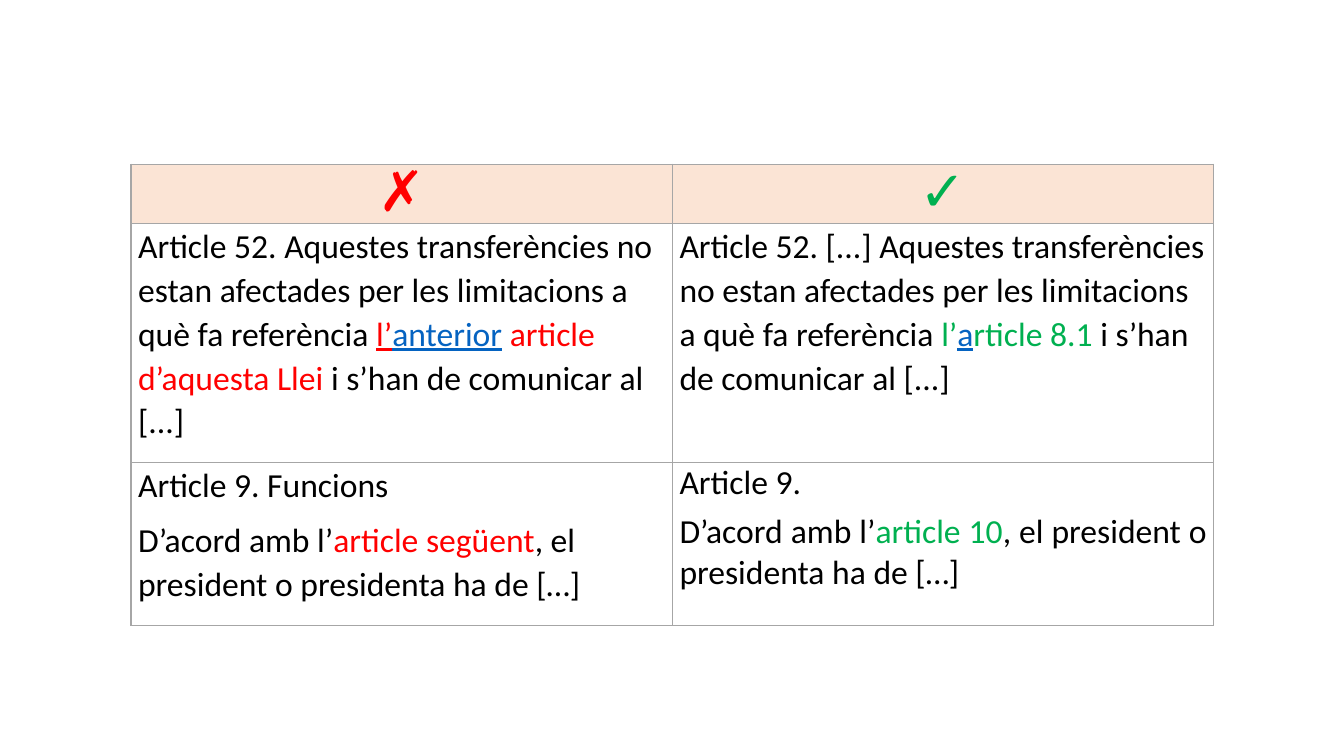
import pptx
import pptx.util
import pptx.dml.color
import pptx.enum.text
import lxml.etree
from pptx.util import Inches

Align = pptx.enum.text.PP_ALIGN
Anchor = pptx.enum.text.MSO_ANCHOR
RED, GREEN, BLUE, BLACK = "FF0000", "00B050", "0563C1", "000000"
GRAY, PEACH, WHITE = "A6A6A6", "FBE4D5", "FFFFFF"


def color(code):
    return pptx.dml.color.RGBColor.from_string(code)


def border(cell):
    props = cell._tc.get_or_add_tcPr()
    space = pptx.oxml.ns.nsdecls("a")
    for place, side in enumerate(("lnL", "lnR", "lnT", "lnB")):
        line = lxml.etree.fromstring(
            f'<a:{side} {space} w="12700"><a:solidFill>'
            f'<a:srgbClr val="{GRAY}"/></a:solidFill></a:{side}>')
        props.insert(place, line)


deck = pptx.Presentation()
deck.slide_width = Inches(13.33)
deck.slide_height = Inches(7.5)
slide = deck.slides.add_slide(deck.slide_layouts[6])

frame = slide.shapes.add_table(3, 2, Inches(1.3), Inches(1.63), Inches(10.74), Inches(4.58))
table = frame.table
for col in table.columns:
    col.width = Inches(5.37)
for row, height in zip(table.rows, (0.59, 2.37, 1.62)):
    row.height = Inches(height)

head = dict(size=40, font="Arial", align=Align.CENTER, lead=pptx.util.Pt(36), before=0, after=0)
body = dict(size=24, font="Calibri", align=Align.LEFT, lead=1.07, before=0, after=8)
tight = dict(body, align=Align.JUSTIFY, lead=1.0, before=3, after=3)

grid = [
    [
        (head, [[("✗", RED)]]),
        (head, [[("✓", GREEN, "bold")]]),
    ],
    [
        (body, [[
            ("Article 52. Aquestes transferències no estan afectades per les "
             "limitacions a què fa referència ", BLACK),
            ("l’", RED, "under"),
            ("anterior", BLUE, "under"),
            (" article d’aquesta Llei", RED),
            (" i s’han de comunicar al [...]", BLACK),
        ]]),
        (body, [[
            ("Article 52. [...] Aquestes transferències no estan afectades per les "
             "limitacions a què fa referència ", BLACK),
            ("l’", GREEN),
            ("a", BLUE, "under"),
            ("rticle 8.1 ", GREEN),
            ("i s’han de comunicar al [...]", BLACK),
        ]]),
    ],
    [
        (body, [
            [("Article 9. Funcions", BLACK)],
            [("D’acord amb l’", BLACK), ("article següent", RED),
             (", el president o presidenta ha de […]", BLACK)],
        ]),
        (tight, [
            [("Article 9.", BLACK)],
            [("D’acord amb l’", BLACK), ("article 10", GREEN),
             (", el president o presidenta ha de […]", BLACK)],
        ]),
    ],
]

for r, row in enumerate(grid):
    for c, (style, paras) in enumerate(row):
        cell = table.cell(r, c)
        cell.margin_left = cell.margin_right = Inches(0.07)
        cell.margin_top = cell.margin_bottom = 0
        cell.vertical_anchor = Anchor.TOP if r else Anchor.BOTTOM
        cell.fill.solid()
        cell.fill.fore_color.rgb = color(WHITE if r else PEACH)
        border(cell)
        text = cell.text_frame
        for n, parts in enumerate(paras):
            para = text.add_paragraph() if n else text.paragraphs[0]
            para.alignment = style["align"]
            para.line_spacing = style["lead"]
            para.space_before = pptx.util.Pt(style["before"] if n else 0)
            para.space_after = pptx.util.Pt(style["after"])
            for words, tone, *marks in parts:
                run = para.add_run()
                run.text = words
                run.font.name = style["font"]
                run.font.size = pptx.util.Pt(style["size"])
                run.font.color.rgb = color(tone)
                run.font.bold = "bold" in marks
                run.font.underline = "under" in marks

deck.save("out.pptx")
